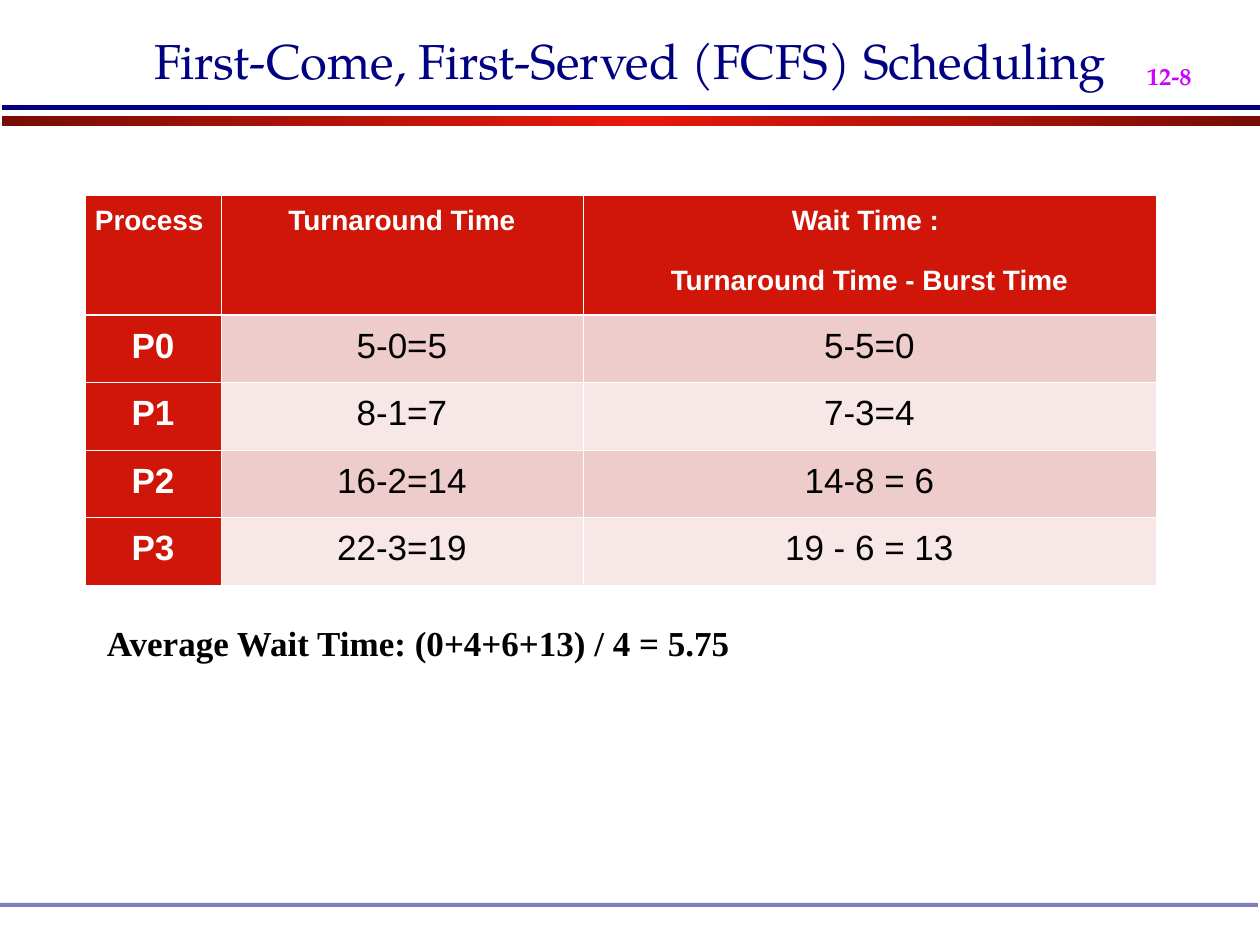
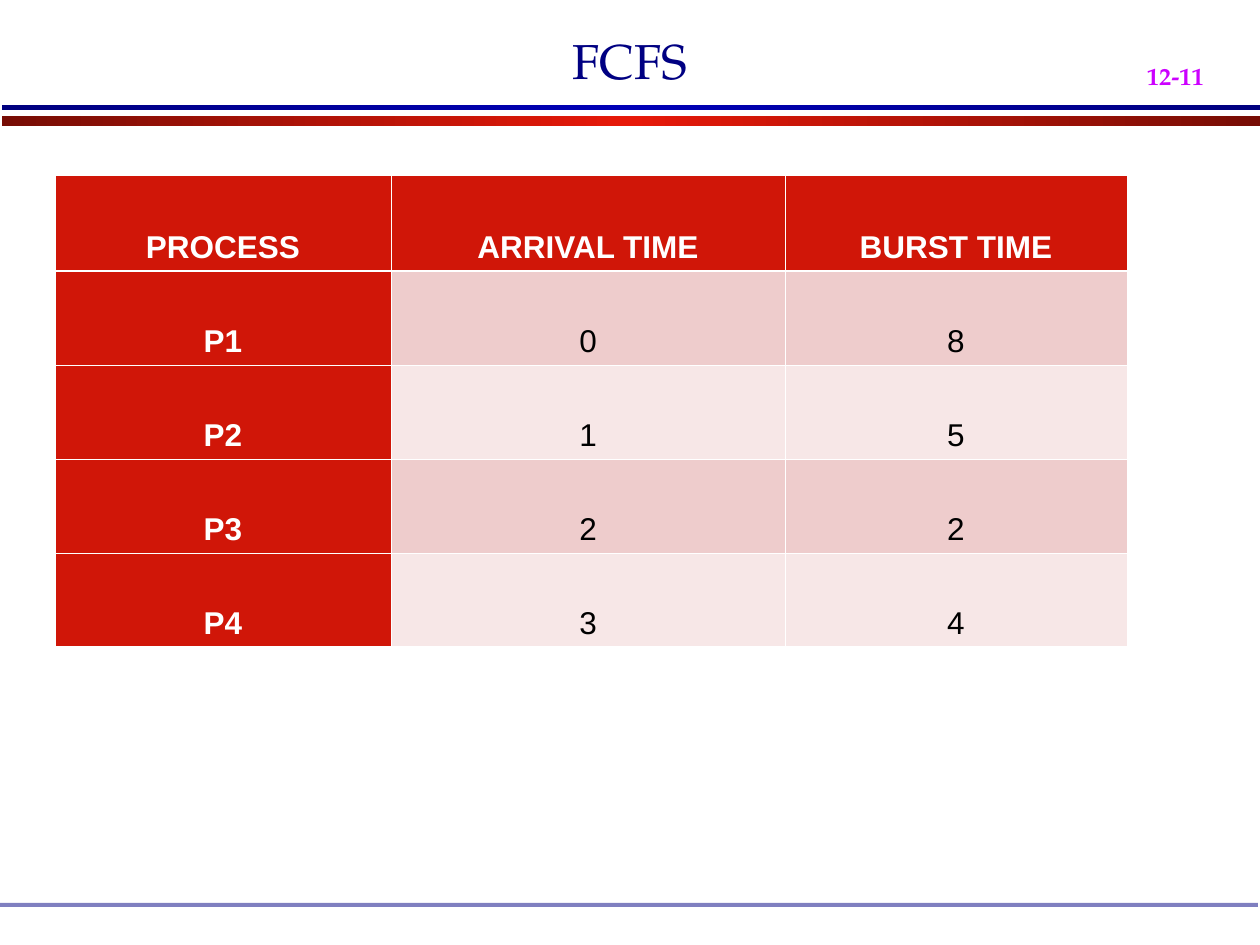
from copy import deepcopy

from lxml import etree
from pptx import Presentation
from pptx.dml.color import RGBColor
from pptx.enum.shapes import MSO_SHAPE
from pptx.enum.text import MSO_ANCHOR, PP_ALIGN
from pptx.oxml.ns import qn
from pptx.util import Pt

RECTANGLE = MSO_SHAPE.RECTANGLE
LEFT, CENTER = PP_ALIGN.LEFT, PP_ALIGN.CENTER
TOP, BOTTOM = MSO_ANCHOR.TOP, MSO_ANCHOR.BOTTOM

PX_PER_INCH = 126
EMU_PER_PX = 914400 / PX_PER_INCH
SLIDE_BOX = (0, 0, 1260, 945)

NAVY, MAGENTA, BLACK, WHITE = "000082", "CC00FF", "000000", "FFFFFF"
HEADER_RED = "D01608"
ROW_TINTS = ("EECCCC", "F7E7E7")
BLUE_BAND = ("00007F", "0000B6", "00007F")
RED_BAND = ("770D05", "E71909", "770D05")
THIN_RULE, HEADER_RULE = 0.45, 1.47

TITLE_FONT = {"name": "TeX Gyre Pagella", "size": Pt(28)}
NUMBER_FONT = {"name": "TeX Gyre Pagella", "size": Pt(24), "bold": True}
NOTE_FONT = {"name": "Times New Roman", "size": Pt(20), "bold": True}

FCFS_TIMES = {
    "rows": [
        ("Process", "Turnaround Time", "Wait Time : \nTurnaround Time - Burst Time"),
        ("P0", "5-0=5", "5-5=0"),
        ("P1", "8-1=7", "7-3=4"),
        ("P2", "16-2=14", "14-8 = 6"),
        ("P3", "22-3=19", "19 - 6 = 13"),
    ],
    "widths": (136, 362, 573),
    "heights": (120, 67, 68, 67, 68),
    "side_margins": (10, 1, 10),
    "sizes": (16, 20),
    "first_align": LEFT,
    "anchor": TOP,
    "spacing": {"line_spacing": 1.15, "space_after": Pt(13.6)},
}
FCFS_BURSTS = {
    "rows": [
        ("PROCESS", "ARRIVAL TIME", "BURST TIME"),
        ("P1", "0", "8"),
        ("P2", "1", "5"),
        ("P3", "2", "2"),
        ("P4", "3", "4"),
    ],
    "widths": (336, 394, 342),
    "heights": (96, 94, 94, 94, 94),
    "side_margins": (10, 10, 10),
    "sizes": (18, 18),
    "first_align": CENTER,
    "anchor": BOTTOM,
    "spacing": {"line_spacing": 2.0},
}


def px(length):
    return round(length * EMU_PER_PX)


def place(box):
    return [px(length) for length in box]


def color(value):
    return RGBColor.from_string(value)


def apply(target, values):
    for name, value in values.items():
        setattr(target, name, value)


def write(frame, text, font, ink, layout):
    for index, line in enumerate(text.split("\n")):
        paragraph = frame.add_paragraph() if index else frame.paragraphs[0]
        apply(paragraph, layout)
        run = paragraph.add_run()
        run.text = line
        apply(run.font, font)
        run.font.color.rgb = color(ink)


def text_box(slide, box, text, font, ink, align=LEFT, anchor=TOP, top_margin=6):
    frame = slide.shapes.add_textbox(*place(box)).text_frame
    apply(frame, {
        "word_wrap": True, "vertical_anchor": anchor,
        "margin_left": px(13), "margin_right": px(13),
        "margin_top": px(top_margin), "margin_bottom": px(6),
    })
    write(frame, text, font, ink, {"alignment": align})
    return frame


def bar(slide, box):
    shape = slide.shapes.add_shape(RECTANGLE, *place(box))
    shape.shadow.inherit = False
    shape.line.fill.background()
    return shape


def gradient_band(slide, box, shades):
    band = bar(slide, box)
    band.fill.gradient()
    band.fill.gradient_angle = 0
    first = band.fill._xPr.find(".//" + qn("a:gs"))
    middle = deepcopy(first)
    middle.set("pos", "50000")
    first.addnext(middle)
    for stop, shade in zip(band.fill.gradient_stops, shades):
        stop.color.rgb = color(shade)


def footer_rule(slide, box):
    rule = bar(slide, box)
    rule.fill.solid()
    rule.fill.fore_color.rgb = color(NAVY)
    tint = rule.fill._xPr.find(".//" + qn("a:srgbClr"))
    etree.SubElement(tint, qn("a:alpha"), val="50000")


def slide_frame(slide, box, title, number):
    left, top, width, height = box
    gradient_band(slide, (left + 2, top + 116, width - 2, 10), RED_BAND)
    gradient_band(slide, (left + 2, top + 105, width - 2, 5), BLUE_BAND)
    footer_rule(slide, (left, top + height - 42, width - 2, 4))
    number_frame = text_box(slide, (left + 1134, top, 136, 71), number,
                            NUMBER_FONT, MAGENTA, top_margin=33)
    number_font = number_frame.paragraphs[0].runs[0].font
    number_font._element.set("baseline", "-25000")
    text_box(slide, (left + 95, top, width - 190, 95), title,
             TITLE_FONT, NAVY, CENTER, BOTTOM)


def cell_borders(cell, row):
    weights = {
        "L": THIN_RULE, "R": THIN_RULE,
        "T": HEADER_RULE if row == 1 else THIN_RULE,
        "B": HEADER_RULE if row == 0 else THIN_RULE,
    }
    properties = cell._tc.get_or_add_tcPr()
    for side, weight in weights.items():
        border = etree.SubElement(properties, qn(f"a:ln{side}"), w=str(Pt(weight)))
        fill = etree.SubElement(border, qn("a:solidFill"))
        etree.SubElement(fill, qn("a:srgbClr"), val=WHITE)


def process_table(slide, origin, data):
    rows, widths, heights = data["rows"], data["widths"], data["heights"]
    box = (*origin, sum(widths), sum(heights))
    table = slide.shapes.add_table(len(rows), len(widths), *place(box)).table
    for column, width in zip(table.columns, widths):
        column.width = px(width)
    for table_row, height in zip(table.rows, heights):
        table_row.height = px(height)
    for r, texts in enumerate(rows):
        for c, text in enumerate(texts):
            cell = table.cell(r, c)
            heading = r == 0 or c == 0
            margin = px(data["side_margins"][c])
            apply(cell, {
                "margin_left": margin, "margin_right": margin,
                "margin_top": px(6), "margin_bottom": px(6),
                "vertical_anchor": data["anchor"],
            })
            cell_borders(cell, r)
            cell.fill.solid()
            cell.fill.fore_color.rgb = color(HEADER_RED if heading else ROW_TINTS[(r - 1) % 2])
            align = data["first_align"] if r == c == 0 else CENTER
            font = {"name": "Arial", "size": Pt(data["sizes"][min(r, 1)]), "bold": heading}
            write(cell.text_frame, text, font, WHITE if heading else BLACK,
                  {"alignment": align, **data["spacing"]})


def main():
    deck = Presentation()
    deck.slide_width, deck.slide_height = place(SLIDE_BOX[2:])
    blank = deck.slide_layouts[6]

    times = deck.slides.add_slide(blank)
    slide_frame(times, SLIDE_BOX, "First-Come, First-Served (FCFS) Scheduling", "12-8")
    process_table(times, (85, 195), FCFS_TIMES)
    text_box(times, (94, 615, 694, 55), "Average Wait Time: (0+4+6+13) / 4 = 5.75",
             NOTE_FONT, BLACK)

    bursts = deck.slides.add_slide(blank)
    slide_frame(bursts, SLIDE_BOX, "FCFS", "12-11")
    process_table(bursts, (55, 175), FCFS_BURSTS)

    deck.save("out.pptx")


if __name__ == "__main__":
    main()
